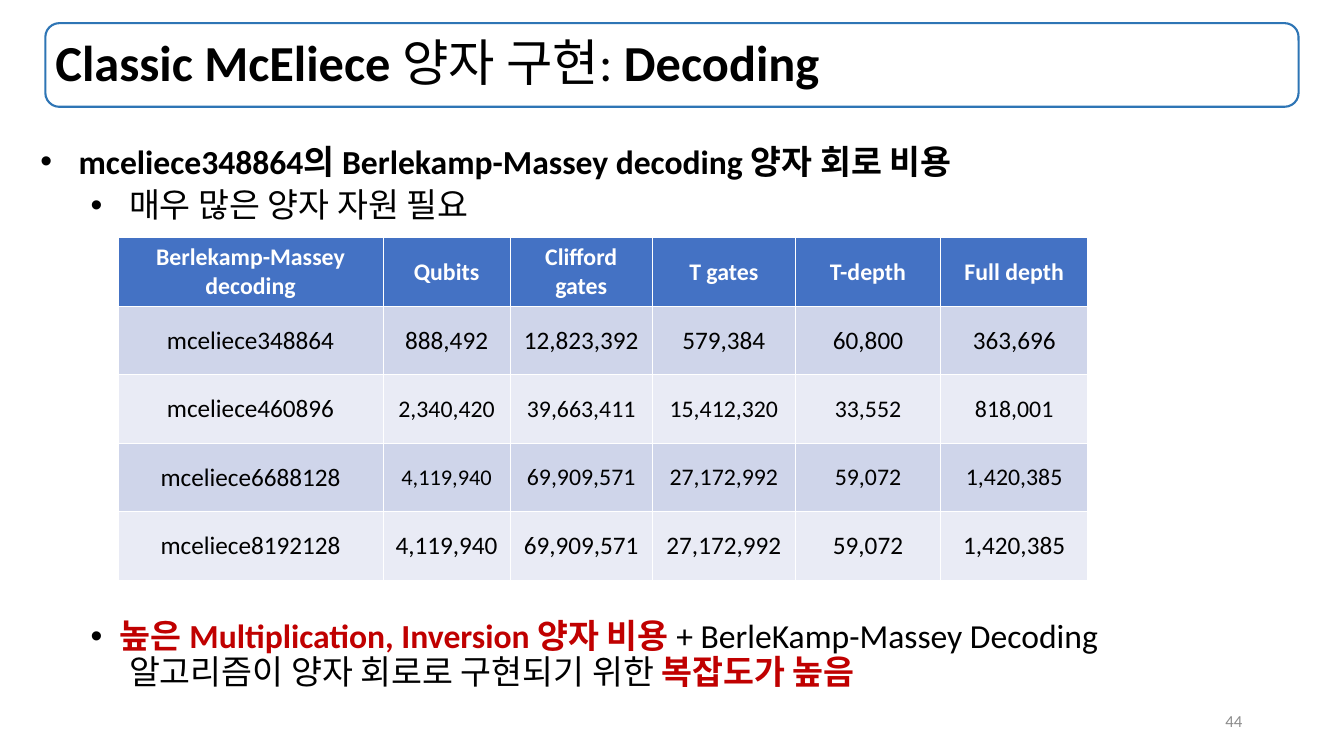
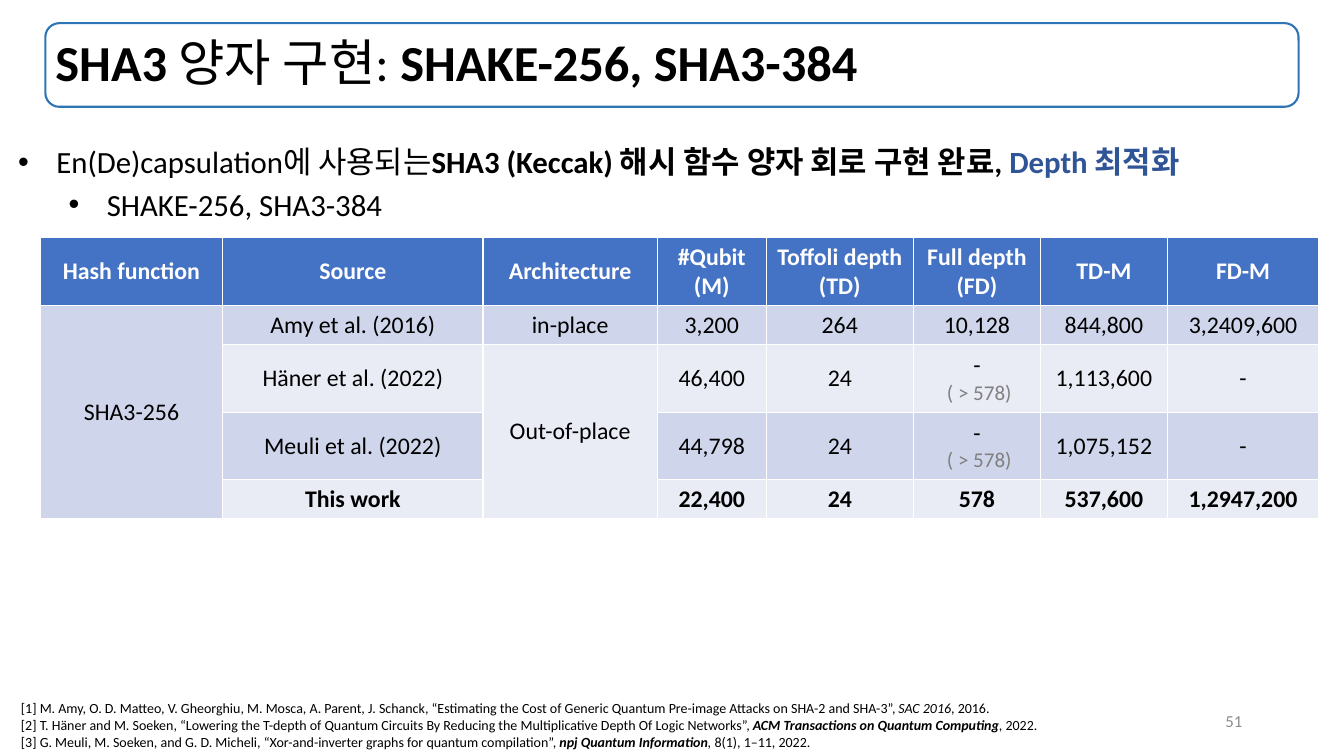
from dataclasses import dataclass
from typing import Optional, Union

from lxml import etree
from pptx import Presentation
from pptx import util as u
from pptx.dml.color import RGBColor
from pptx.enum import shapes, text
from pptx.oxml.ns import qn

EMU_PER_PX = 9144  # 100 px to the inch


@dataclass(frozen=True)
class Theme:
    font: str = "Calibri"
    ink: str = "000000"
    white: str = "FFFFFF"
    frame: str = "2E75B5"
    header: str = "4472C4"
    bands: tuple[str, str] = ("CFD5EA", "E9EBF5")
    red: str = "C00000"
    blue: str = "2F5597"
    grey: str = "808080"
    number: str = "8C8C8C"
    title_size: int = 36
    cell_size: int = 17
    note_size: int = 15
    number_size: int = 12
    reference_size: int = 10


THEME = Theme()


@dataclass(frozen=True)
class Box:
    left: int
    top: int
    width: int
    height: int

    def emu(self) -> tuple[int, int, int, int]:
        return px(self.left), px(self.top), px(self.width), px(self.height)


@dataclass(frozen=True)
class Span:
    text: str
    bold: bool = False
    italic: bool = False
    colour: str = THEME.ink
    size: Optional[int] = None


@dataclass(frozen=True)
class Item:
    """One list paragraph; indent is the hanging part of the margin."""
    spans: tuple[Span, ...]
    level: int = 0
    margin: int = 38
    indent: int = 38
    before: int = 0


@dataclass(frozen=True)
class Row:
    """Cells of one table row; a tuple holds one span per line, None is merged."""
    cells: tuple[Union[str, tuple[Span, ...], None], ...]
    height: int
    sizes: tuple[int, ...] = ()
    bold: bool = False


@dataclass(frozen=True)
class Grid:
    box: Box
    widths: tuple[int, ...]
    rows: tuple[Row, ...]
    merges: tuple[tuple[int, int, int], ...] = ()  # column, first row, last row


TITLE_BOX = Box(45, 23, 1243, 83)
NUMBER_BOX = Box(942, 695, 300, 40)
REFERENCE_BOX = Box(11, 689, 1241, 61)


def px(length: int) -> int:
    return u.Emu(length * EMU_PER_PX)


def place(shape, box: Box) -> None:
    shape.left, shape.top, shape.width, shape.height = box.emu()


def add_span(para, words: str, *, size: int, colour: str = THEME.ink,
             bold: bool = False, italic: bool = False) -> None:
    run = para.add_run()
    run.text = words
    font = run.font
    font.name, font.size = THEME.font, u.Pt(size)
    font.bold, font.italic = bold, italic
    font.color.rgb = RGBColor.from_string(colour)


def add_spans(para, spans: tuple[Span, ...], size: int) -> None:
    for span in spans:
        add_span(para, span.text, size=span.size or size, colour=span.colour,
                 bold=span.bold, italic=span.italic)


def paragraph_at(frame, index: int):
    return frame.paragraphs[0] if index == 0 else frame.add_paragraph()


def set_bullet(para, margin: int, indent: int) -> None:
    """Give a hanging bullet, or none when there is no hanging indent."""
    props = para._p.get_or_add_pPr()
    props.set("marL", str(px(margin)))
    props.set("indent", str(-px(indent)))
    if not indent:
        etree.SubElement(props, qn("a:buNone"))
        return
    colour = etree.SubElement(props, qn("a:buClr"))
    etree.SubElement(colour, qn("a:srgbClr"), val=THEME.ink)
    etree.SubElement(props, qn("a:buFont"), typeface="Arial")
    etree.SubElement(props, qn("a:buChar"), char="•")


def add_title(page, spans: tuple[Span, ...]) -> None:
    frame = page.shapes.title.text_frame
    frame.word_wrap = True
    frame.auto_size = text.MSO_AUTO_SIZE.NONE
    frame.vertical_anchor = text.MSO_ANCHOR.MIDDLE
    para = frame.paragraphs[0]
    para.alignment = text.PP_ALIGN.LEFT
    para.line_spacing = 0.9
    add_spans(para, spans, THEME.title_size)


def add_list(page, box: Box, items: tuple[Item, ...], *, size: int, spacing: float) -> None:
    body = page.placeholders[1]
    place(body, box)
    frame = body.text_frame
    frame.word_wrap = True
    frame.auto_size = text.MSO_AUTO_SIZE.NONE
    for index, item in enumerate(items):
        para = paragraph_at(frame, index)
        para.level = item.level
        set_bullet(para, item.margin, item.indent)
        para.line_spacing = spacing
        para.space_before = u.Pt(item.before)
        add_spans(para, item.spans, size)


def add_text(page, box: Box, lines: tuple[tuple[Span, ...], ...], *, size: int,
             align=text.PP_ALIGN.LEFT, anchor=text.MSO_ANCHOR.TOP) -> None:
    frame = page.shapes.add_textbox(*box.emu()).text_frame
    frame.word_wrap = True
    frame.vertical_anchor = anchor
    for index, spans in enumerate(lines):
        para = paragraph_at(frame, index)
        para.alignment = align
        add_spans(para, spans, size)


def add_number(page, number: int) -> None:
    add_text(page, NUMBER_BOX, ((Span(str(number), colour=THEME.number),),),
             size=THEME.number_size, align=text.PP_ALIGN.RIGHT, anchor=text.MSO_ANCHOR.MIDDLE)


def add_grid(page, grid: Grid) -> None:
    table = page.shapes.add_table(len(grid.rows), len(grid.widths), *grid.box.emu()).table
    for column, width in zip(table.columns, grid.widths):
        column.width = px(width)
    for r, row in enumerate(grid.rows):
        table.rows[r].height = px(row.height)
        fill = THEME.bands[(r - 1) % 2] if r else THEME.header
        colour = THEME.ink if r else THEME.white
        for c, content in enumerate(row.cells):
            cell = table.cell(r, c)
            cell.vertical_anchor = text.MSO_ANCHOR.MIDDLE
            cell.fill.solid()
            cell.fill.fore_color.rgb = RGBColor.from_string(fill)
            if content is None:
                continue
            if isinstance(content, str):
                content = (Span(content, bold=row.bold, colour=colour),)
            size = row.sizes[c] if row.sizes else THEME.cell_size
            for index, span in enumerate(content):
                para = paragraph_at(cell.text_frame, index)
                para.alignment = text.PP_ALIGN.CENTER
                add_spans(para, (span,), size)
    for column, first, last in grid.merges:
        table.cell(first, column).merge(table.cell(last, column))


def frame_layout(layout, page) -> None:
    """Put the title frame on the layout, behind the title of every page."""
    place(layout.placeholders[0], TITLE_BOX)
    frame = page.shapes.add_shape(shapes.MSO_SHAPE.ROUNDED_RECTANGLE, *TITLE_BOX.emu())
    frame.shadow.inherit = False
    frame.fill.background()
    frame.line.color.rgb = RGBColor.from_string(THEME.frame)
    frame.line.width = u.Pt(1.5)
    layout.shapes.element.insert(2, frame.element)


def decoding_page(page) -> None:
    add_title(page, (Span("Classic McEliece ", bold=True), Span("양자 구현: "),
                     Span("Decoding", bold=True)))
    add_list(page, Box(30, 139, 1237, 590), (
        Item((Span("mceliece348864의 Berlekamp-Massey decoding 양자 회로 비용", bold=True),)),
        Item((Span("매우 많은 양자 자원 필요"),), level=1, margin=88, before=5),
        Item((Span("높은 Multiplication, Inversion 양자 비용 ", bold=True, colour=THEME.red),
              Span("+ BerleKamp-Massey Decoding")),
             level=1, margin=79, indent=29, before=282),
        Item((Span("알고리즘이 양자 회로로 구현되기 위한 "),
              Span("복잡도가 높음", bold=True, colour=THEME.red)),
             level=1, margin=88, indent=0),
    ), size=24, spacing=0.9)
    header = (Span("Clifford", bold=True, colour=THEME.white),
              Span("gates", bold=True, colour=THEME.white))
    add_grid(page, Grid(Box(117, 236, 962, 339), (263, 126, 141, 142, 144, 146), (
        Row(("Berlekamp-Massey decoding", "Qubits", header, "T gates", "T-depth", "Full depth"),
            67, bold=True),
        Row(("mceliece348864", "888,492", "12,823,392", "579,384", "60,800", "363,696"),
            68, (18,) * 6),
        Row(("mceliece460896", "2,340,420", "39,663,411", "15,412,320", "33,552", "818,001"),
            68, (18,) + (17,) * 5),
        Row(("mceliece6688128", "4,119,940", "69,909,571", "27,172,992", "59,072", "1,420,385"),
            68, (18, 16) + (17,) * 4),
        Row(("mceliece8192128", "4,119,940", "69,909,571", "27,172,992", "59,072", "1,420,385"),
            68, (18,) * 6),
    )))
    add_number(page, 44)


def hash_page(page) -> None:
    add_title(page, (Span("SHA3 ", bold=True), Span("양자 구현: "),
                     Span("SHAKE-256, SHA3-384", bold=True)))
    add_list(page, Box(8, 137, 1300, 95), (
        Item((Span("En(De)capsulation에 사용되는"),
              Span("SHA3 (Keccak) 해시 함수 양자 회로 구현 완료, ", bold=True),
              Span("Depth 최적화", bold=True, colour=THEME.blue))),
        Item((Span("SHAKE-256, SHA3-384"),), level=1, margin=88, before=4),
    ), size=22, spacing=1.0)
    add_text(page, REFERENCE_BOX, (
        (Span("[1] M. Amy, O. D. Matteo, V. Gheorghiu, M. Mosca, A. Parent, J. Schanck, "
              "“Estimating the Cost of Generic Quantum Pre-image Attacks on SHA-2 and SHA-3”, "),
         Span("SAC 2016", italic=True), Span(", 2016.")),
        (Span("[2] T. Häner and M. Soeken, “Lowering the T-depth of Quantum Circuits "
              "By Reducing the Multiplicative Depth Of Logic Networks”, "),
         Span("ACM Transactions on Quantum Computing", bold=True, italic=True),
         Span(", 2022.")),
        (Span("[3] G. Meuli, M. Soeken, and G. D. Micheli, "
              "“Xor-and-inverter graphs for quantum compilation”, "),
         Span("npj Quantum Information", bold=True, italic=True),
         Span(", ", italic=True), Span("8(1), 1–11, 2022.")),
    ), size=THEME.reference_size)
    bound = (Span("-"), Span(" ( > 578)", colour=THEME.grey, size=THEME.note_size))
    add_grid(page, Grid(Box(40, 236, 1267, 279), (181, 258, 173, 108, 146, 126, 126, 150), (
        Row(("Hash function", "Source", "Architecture", "#Qubit (M)", "Toffoli depth (TD)",
             "Full depth (FD)", "TD-M", "FD-M"), 67, bold=True),
        Row(("SHA3-256", "Amy et al. (2016)", "in-place", "3,200", "264", "10,128",
             "844,800", "3,2409,600"), 39),
        Row((None, "Häner et al. (2022)", "Out-of-place", "46,400", "24", bound,
             "1,113,600", "-"), 67),
        Row((None, "Meuli et al. (2022)", None, "44,798", "24", bound, "1,075,152", "-"), 67),
        Row((None, "This work", None, "22,400", "24", "578", "537,600", "1,2947,200"),
            39, bold=True),
    ), merges=((0, 1, 4), (2, 2, 4))))
    add_number(page, 51)


def main() -> None:
    deck = Presentation()
    deck.slide_width, deck.slide_height = px(1333), px(750)
    layout = deck.slide_layouts[1]
    pages = [deck.slides.add_slide(layout) for _ in range(2)]
    frame_layout(layout, pages[0])
    decoding_page(pages[0])
    hash_page(pages[1])
    deck.save("out.pptx")


if __name__ == "__main__":
    main()
